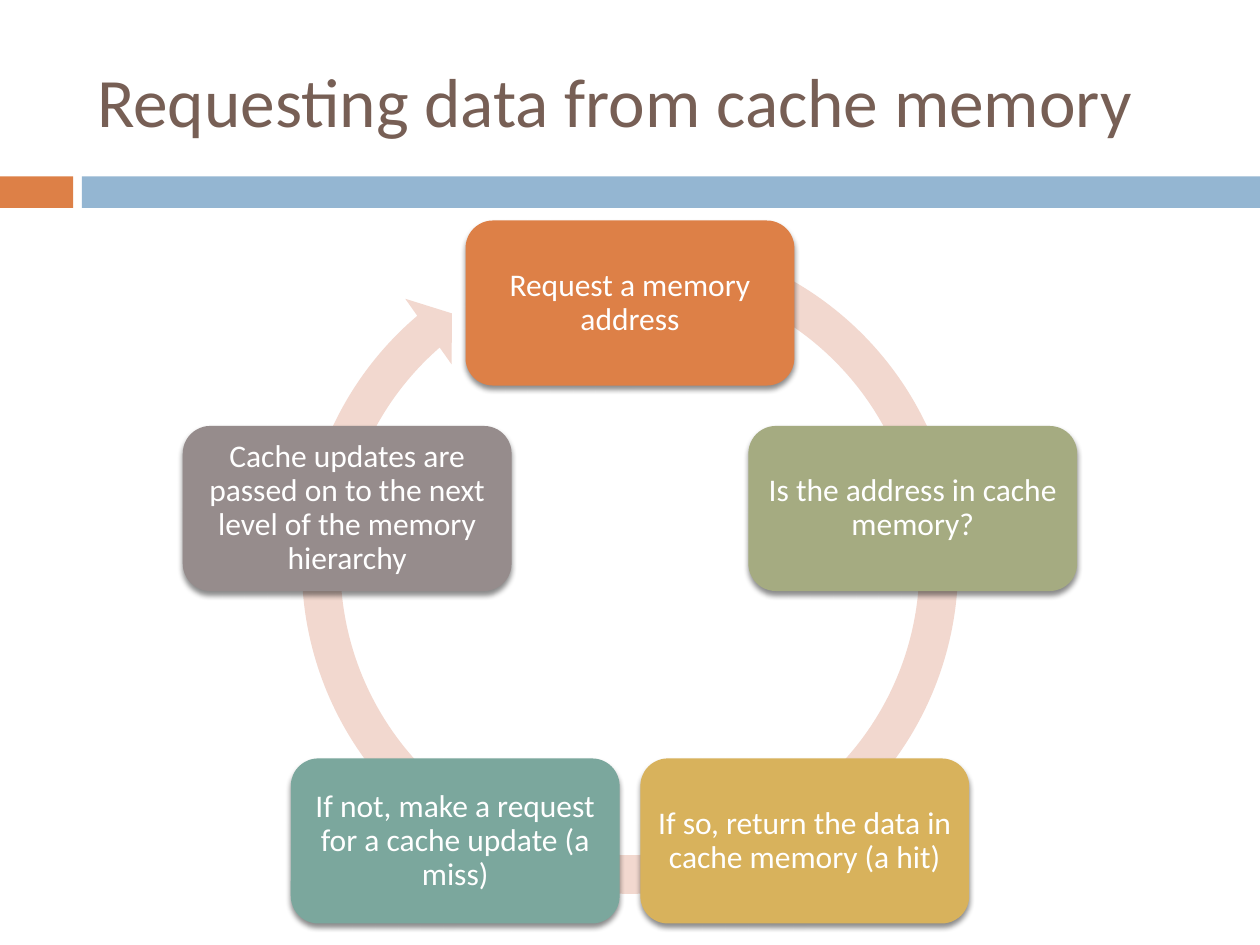
from math import cos, radians, sin

from lxml import etree
from pptx import Presentation
from pptx.dml.color import RGBColor
from pptx.enum.shapes import MSO_SHAPE
from pptx.enum.text import MSO_ANCHOR, MSO_AUTO_SIZE, PP_ALIGN
from pptx.oxml.ns import qn
from pptx.util import Inches, Pt

RECT = MSO_SHAPE.RECTANGLE
ROUNDED = MSO_SHAPE.ROUNDED_RECTANGLE
CIRCULAR_ARROW = MSO_SHAPE.CIRCULAR_ARROW
MIDDLE = MSO_ANCHOR.MIDDLE
LEFT, CENTER = PP_ALIGN.LEFT, PP_ALIGN.CENTER
NO_AUTOFIT = MSO_AUTO_SIZE.NONE

TITLE = "Requesting data from cache memory"
STEPS = [  # clockwise from the top
    ("Request a memory address", "DD8047"),
    ("Is the address in cache memory?", "A5AB81"),
    ("If so, return the data in cache memory (a hit)", "D8B25C"),
    ("If not, make a request for a cache update (a miss)", "7BA79D"),
    ("Cache updates are passed on to the next level of the memory hierarchy",
     "968C8C"),
]
THEME = {
    "font": "Calibri", "title_size": 39.6, "step_size": 18,
    "title": "775F55", "step_text": "FFFFFF", "ring": "F2D8CF",
    "accent": "DD8047", "band": "94B6D2", "shadow": "000000",
}

SLIDE_W, SLIDE_H = 10, 7.5
BAND_TOP, BAND_H = 1.4, 0.25
ACCENT_W, BAND_LEFT = 0.58, 0.65
CYCLE_X, CYCLE_Y, CYCLE_R = 5, 4.765, 2.36
STEP_W, STEP_H, STEP_INSET = 2.61, 1.31, 0.07
RING_TOP, RING_SIZE = 1.72, 5.54
RING_WIDTH, HEAD_WIDTH = 0.0554, 0.0576  # shares of the ring's size
HEAD_ANGLE, END_ANGLE, START_ANGLE = 5.51, 229.28, 289.96  # degrees


def add_filled(s, kind, box, color):
    sp = s.shapes.add_shape(kind, *(Inches(v) for v in box))
    sp.fill.solid()
    sp.fill.fore_color.rgb = RGBColor.from_string(color)
    sp.line.fill.background()
    sp.shadow.inherit = False
    return sp


def add_drop_shadow(sp):
    effects = sp._element.spPr.find(qn("a:effectLst"))
    shadow = etree.SubElement(
        effects, qn("a:outerShdw"), blurRad=str(Pt(3)), dist=str(Pt(2.4)),
        dir=str(90 * 60000), rotWithShape="0")
    color = etree.SubElement(shadow, qn("a:srgbClr"), val=THEME["shadow"])
    etree.SubElement(color, qn("a:alpha"), val="45000")


def set_text(sp, text, size, color, align):
    tf = sp.text_frame
    tf.text = text
    tf.word_wrap = True
    tf.auto_size = NO_AUTOFIT
    tf.vertical_anchor = MIDDLE
    p = tf.paragraphs[0]
    p.alignment = align
    font = p.runs[0].font
    font.name = THEME["font"]
    font.size = Pt(size)
    font.color.rgb = RGBColor.from_string(color)
    return tf


def add_title(s):
    title = s.shapes.title
    title.left, title.top = Inches(0.67), Inches(0.25)
    title.width, title.height = Inches(8.92), Inches(1.08)
    set_text(title, TITLE, THEME["title_size"], THEME["title"], LEFT)


def add_ring(s):
    box = (CYCLE_X - RING_SIZE / 2, RING_TOP, RING_SIZE, RING_SIZE)
    ring = add_filled(s, CIRCULAR_ARROW, box, THEME["ring"])
    # Angles are stored in 60000ths of a degree, adjustments in 100000ths.
    angles = [a * 0.6 for a in (HEAD_ANGLE, END_ANGLE, START_ANGLE)]
    for i, value in enumerate([RING_WIDTH, *angles, HEAD_WIDTH]):
        ring.adjustments[i] = value


def add_step(s, index, text, color):
    angle = radians(index * 360 / len(STEPS))
    x = CYCLE_X + CYCLE_R * sin(angle)
    y = CYCLE_Y - CYCLE_R * cos(angle)
    box = (x - STEP_W / 2, y - STEP_H / 2, STEP_W, STEP_H)
    sp = add_filled(s, ROUNDED, box, color)
    add_drop_shadow(sp)
    tf = set_text(sp, text, THEME["step_size"], THEME["step_text"], CENTER)
    tf.margin_left = tf.margin_right = Inches(STEP_INSET)
    tf.margin_top = tf.margin_bottom = Inches(STEP_INSET)
    tf.paragraphs[0].line_spacing = 0.9


def main():
    prs = Presentation()
    prs.slide_width, prs.slide_height = Inches(SLIDE_W), Inches(SLIDE_H)
    s = prs.slides.add_slide(prs.slide_layouts.get_by_name("Title Only"))
    add_title(s)
    add_filled(s, RECT, (0, BAND_TOP, ACCENT_W, BAND_H), THEME["accent"])
    add_filled(s, RECT, (BAND_LEFT, BAND_TOP, SLIDE_W - BAND_LEFT, BAND_H),
               THEME["band"])
    add_ring(s)
    for i, (text, color) in enumerate(STEPS):
        add_step(s, i, text, color)
    prs.save("out.pptx")


if __name__ == "__main__":
    main()
